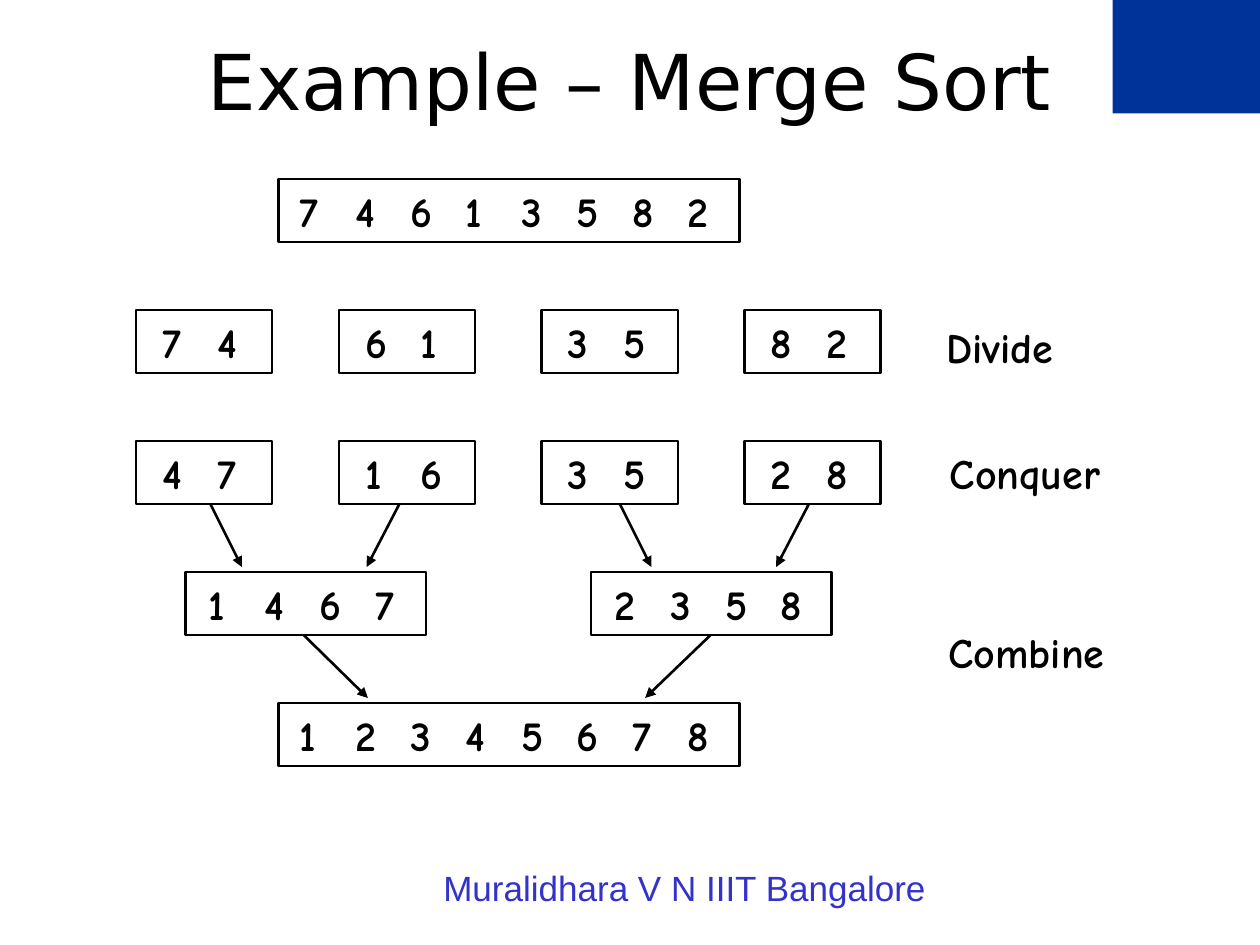
"""Build the merge sort example slide."""
from dataclasses import dataclass
from typing import NamedTuple

from lxml.etree import SubElement as Sub
from pptx import Presentation as Deck
from pptx.dml.color import RGBColor as Rgb
from pptx.enum.shapes import MSO_CONNECTOR as Link, MSO_SHAPE as Kind
from pptx.enum.text import MSO_ANCHOR as Anchor, MSO_AUTO_SIZE as Fit, PP_ALIGN as Align
from pptx.oxml.ns import qn
from pptx.shapes.autoshape import Shape
from pptx.slide import Slide
from pptx.util import Emu, Pt

SCALE = 9144
TOP, STEP, HIGH, DROP = 142, 104, 50, 50
CELL, PITCH = 43, 44


class Font(NamedTuple):
    name: str
    size: int
    tint: Rgb
    bold: bool = False


@dataclass(frozen=True)
class Theme:
    ink: Rgb = Rgb(0, 0, 0)
    flag: Rgb = Rgb(0x00, 0x33, 0x99)
    rule: float = 1.5
    title: Font = Font("DejaVu Sans", 44, Rgb(0, 0, 0))
    body: Font = Font("Comic Neue", 24, Rgb(0, 0, 0), True)
    foot: Font = Font("Arial", 20, Rgb(0x33, 0x33, 0xCC))


class Frame(NamedTuple):
    width: int
    pad: int


class Tray(NamedTuple):
    left: int
    row: int
    nums: str


class Label(NamedTuple):
    text: str
    left: int
    top: int
    width: int


class Arrow(NamedTuple):
    start: int
    end: int
    row: int


THEME = Theme()
FRAMES = {2: Frame(108, 11), 4: Frame(191, 9), 8: Frame(366, 7)}
PAIRS = (("74", "61", "35", "82"), ("47", "16", "35", "28"))
TRAYS = [
    Tray(221, 0, "74613582"),
    *(Tray(108 + 161 * col, row, nums)
      for row, line in enumerate(PAIRS, 1) for col, nums in enumerate(line)),
    Tray(147, 3, "1467"),
    Tray(469, 3, "2358"),
    Tray(221, 4, "12345678"),
]
LABELS = [
    Label("Divide", 741, 250, 139),
    Label("Conquer", 744, 350, 177),
    Label("Combine", 743, 492, 184),
]
ARROWS = [
    Arrow(167, 192, 2), Arrow(317, 291, 2), Arrow(492, 517, 2),
    Arrow(642, 616, 2), Arrow(241, 292, 3), Arrow(564, 512, 3),
]


def px(num: int) -> Emu:
    return Emu(num * SCALE)


def level(row: int) -> int:
    return TOP + STEP * row


def write(slide: Slide, label: Label, font: Font, high: int = HIGH,
          wrap: bool = False, align: Align = Align.LEFT,
          anchor: Anchor = Anchor.TOP) -> None:
    box = slide.shapes.add_textbox(px(label.left), px(label.top), px(label.width), px(high))
    frame = box.text_frame
    frame.word_wrap = wrap
    frame.auto_size = Fit.NONE if wrap else Fit.SHAPE_TO_FIT_TEXT
    frame.vertical_anchor = anchor
    para = frame.paragraphs[0]
    para.alignment = align
    run = para.add_run()
    run.text = label.text
    run.font.name, run.font.size, run.font.bold = font.name, Pt(font.size), font.bold
    run.font.color.rgb = font.tint


def block(slide: Slide, left: int, top: int, width: int, high: int) -> Shape:
    shape = slide.shapes.add_shape(Kind.RECTANGLE, px(left), px(top), px(width), px(high))
    shape.shadow.inherit = False
    return shape


def draw_flag(slide: Slide) -> None:
    shape = block(slide, 883, 0, 117, 90)
    shape.fill.solid()
    shape.fill.fore_color.rgb = THEME.flag
    shape.line.fill.background()


def draw_tray(slide: Slide, tray: Tray) -> None:
    frame, top = FRAMES[len(tray.nums)], level(tray.row)
    for spot, num in enumerate(tray.nums):
        left = tray.left + frame.pad + PITCH * spot
        write(slide, Label(num, left, top, CELL), THEME.body)
    shape = block(slide, tray.left, top, frame.width, HIGH)
    shape.fill.background()
    shape.line.color.rgb, shape.line.width = THEME.ink, Pt(THEME.rule)


def draw_arrow(slide: Slide, arrow: Arrow) -> None:
    top = level(arrow.row) + HIGH
    link = slide.shapes.add_connector(
        Link.STRAIGHT, px(arrow.start), px(top), px(arrow.end), px(top + DROP))
    link.line.color.rgb, link.line.width = THEME.ink, Pt(THEME.rule)
    props = link.element.spPr
    Sub(props.find(qn("a:ln")), qn("a:tailEnd"), type="triangle")
    Sub(props, qn("a:effectLst"))


def main() -> None:
    deck = Deck()
    deck.slide_width, deck.slide_height = px(1000), px(750)
    slide = deck.slides.add_slide(deck.slide_layouts[6])
    draw_flag(slide)
    write(slide, Label("Example – Merge Sort", 75, 17, 850), THEME.title,
          92, True, Align.CENTER, Anchor.MIDDLE)
    for tray in TRAYS:
        draw_tray(slide, tray)
    for label in LABELS:
        write(slide, label, THEME.body)
    for arrow in ARROWS:
        draw_arrow(slide, arrow)
    write(slide, Label("Muralidhara V N IIIT Bangalore", 342, 683, 417), THEME.foot, 52, True)
    deck.save("out.pptx")


if __name__ == "__main__":
    main()
